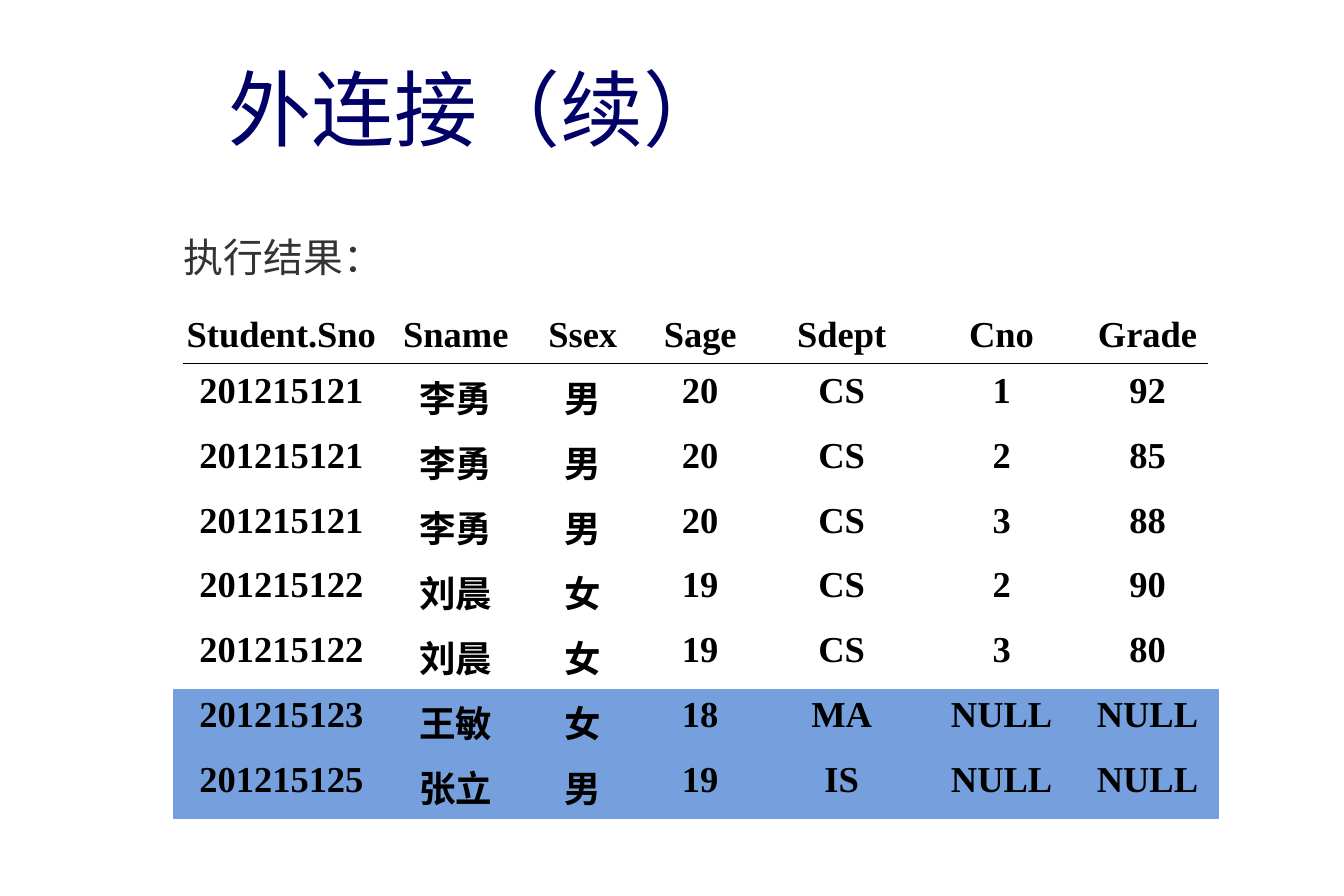
import pptx
import pptx.dml.color
import pptx.enum.shapes
import pptx.enum.text
import pptx.oxml.ns
import pptx.util
from lxml import etree

TITLE = "外连接（续）"
LEAD = "执行结果："
COLUMNS = [("Student.Sno", 217), ("Sname", 132), ("Ssex", 122), ("Sage", 113),
           ("Sdept", 170), ("Cno", 150), ("Grade", 142)]
STUDENTS = {
    "201215121": ("李勇", "男", "20", "CS"),
    "201215122": ("刘晨", "女", "19", "CS"),
    "201215123": ("王敏", "女", "18", "MA"),
    "201215125": ("张立", "男", "19", "IS"),
}
UNMATCHED = ("NULL", "NULL")
RESULTS = [
    ("201215121", ("1", "92")),
    ("201215121", ("2", "85")),
    ("201215121", ("3", "88")),
    ("201215122", ("2", "90")),
    ("201215122", ("3", "80")),
    ("201215123", UNMATCHED),
    ("201215125", UNMATCHED),
]

TITLE_BOX = (208, 70, 966, 74)
LEAD_BOX = (163, 222, 528, 59)
TABLE_LEFT, TABLE_TOP, HEADER_HEIGHT, ROW_HEIGHT = 173, 309, 55, 65
RULE_LEFT, RULE_RIGHT, RULE_Y = 183, 1208, 364
INSET_X, INSET_Y = 21, 11
NO_GRID_STYLE = "{2D5ABB26-0587-4C30-8999-92F81FD0307C}"

THEME = {
    "text_font": "Lato", "table_font": "Times New Roman",
    "title": "000066", "lead": "333333", "ink": "000000", "highlight": "75A0DD",
    "title_size": 50, "lead_size": 24, "table_size": 22, "rule_width": 0.75,
}


def px(n):
    """Turn pixels into EMU."""
    return pptx.util.Emu(round(n * 914400 / 119.5))


def rgb(name):
    """Return a theme colour."""
    return pptx.dml.color.RGBColor.from_string(THEME[name])


def write(tf, text, font, size, color, bold=False, align="LEFT"):
    """Put one styled paragraph into a text frame."""
    p = tf.paragraphs[0]
    p.text = text
    p.alignment = getattr(pptx.enum.text.PP_ALIGN, align)
    p.font.name = THEME[font]
    p.font.size = pptx.util.Pt(THEME[size])
    p.font.bold = bold
    p.font.color.rgb = rgb(color)


def add_text(slide, box, text, size, color, anchor):
    """Add a wrapped text box."""
    tf = slide.shapes.add_textbox(*map(px, box)).text_frame
    tf.word_wrap = True
    tf.vertical_anchor = anchor
    tf.margin_left = tf.margin_right = px(INSET_X)
    tf.margin_top = tf.margin_bottom = px(INSET_Y)
    write(tf, text, "text_font", size, color)


def add_results(slide):
    """Add the join result and highlight the unmatched students."""
    rows = [[name for name, _ in COLUMNS]]
    rows += [(sno, *STUDENTS[sno], *course) for sno, course in RESULTS]
    heights = [HEADER_HEIGHT] + [ROW_HEIGHT] * len(RESULTS)
    width = sum(w for _, w in COLUMNS)
    tbl = slide.shapes.add_table(
        len(rows), len(COLUMNS), px(TABLE_LEFT), px(TABLE_TOP),
        px(width), px(sum(heights))).table
    tbl.first_row = tbl.horz_banding = False
    tbl._tbl.tblPr.find(pptx.oxml.ns.qn("a:tableStyleId")).text = NO_GRID_STYLE
    for column, (_, w) in zip(tbl.columns, COLUMNS):
        column.width = px(w)
    for i, row in enumerate(rows):
        tbl.rows[i].height = px(heights[i])
        for j, text in enumerate(row):
            cell = tbl.cell(i, j)
            write(cell.text_frame, text, "table_font", "table_size", "ink", True, "CENTER")
            if tuple(row[-2:]) == UNMATCHED:
                cell.fill.solid()
                cell.fill.fore_color.rgb = rgb("highlight")
            else:
                cell.fill.background()


def add_rule(slide):
    """Draw the line under the table header."""
    line = slide.shapes.add_connector(
        pptx.enum.shapes.MSO_CONNECTOR.STRAIGHT,
        px(RULE_LEFT), px(RULE_Y), px(RULE_RIGHT), px(RULE_Y))
    line.line.color.rgb = rgb("ink")
    line.line.width = pptx.util.Pt(THEME["rule_width"])
    etree.SubElement(line._element.spPr, pptx.oxml.ns.qn("a:effectLst"))


def main():
    """Build and save the slide."""
    prs = pptx.Presentation()
    prs.slide_width = pptx.util.Inches(11.25)
    prs.slide_height = pptx.util.Inches(7.5)
    slide = prs.slides.add_slide(prs.slide_layouts[6])
    anchors = pptx.enum.text.MSO_ANCHOR
    add_text(slide, TITLE_BOX, TITLE, "title_size", "title", anchors.MIDDLE)
    add_text(slide, LEAD_BOX, LEAD, "lead_size", "lead", anchors.TOP)
    add_results(slide)
    add_rule(slide)
    prs.save("out.pptx")


main()
